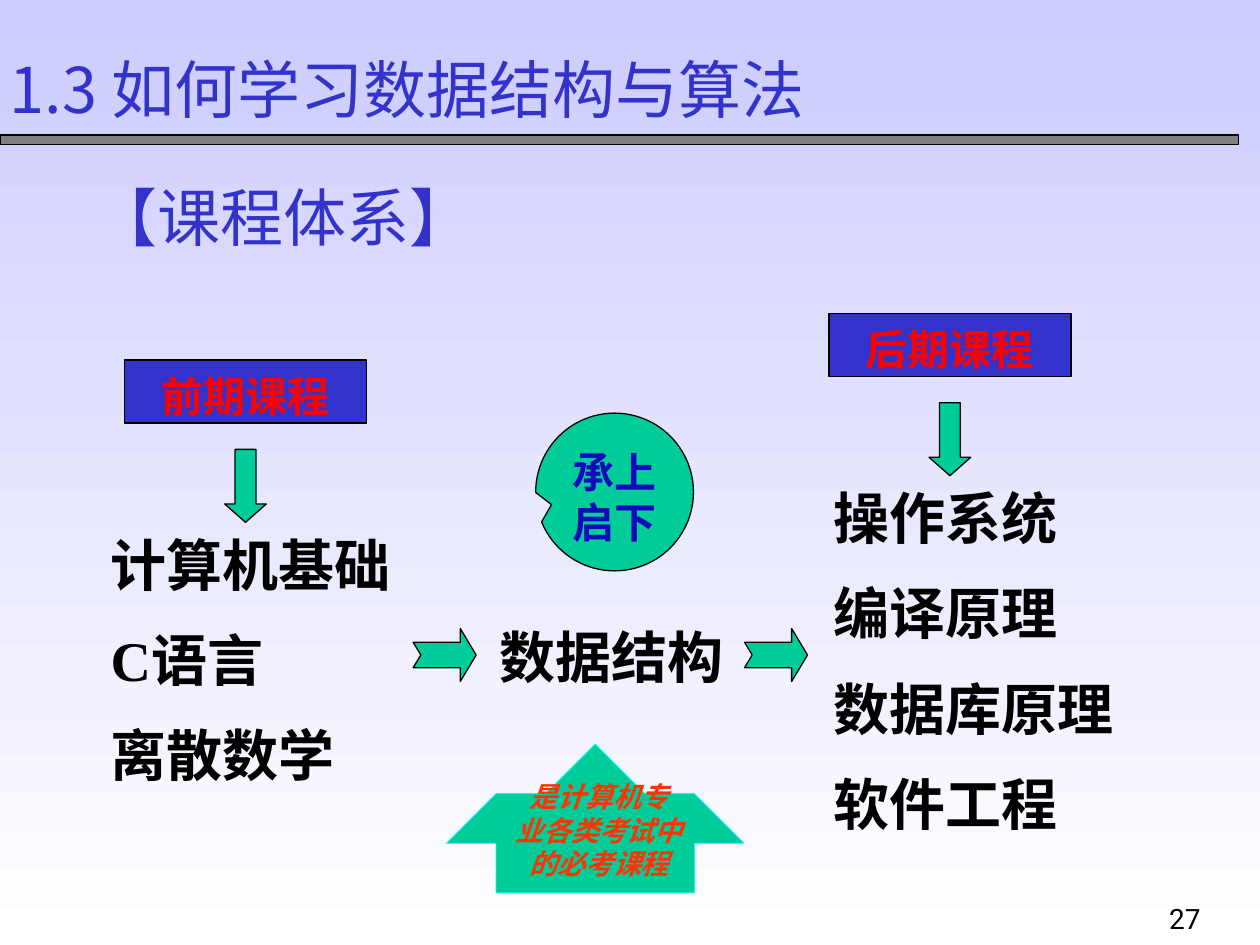
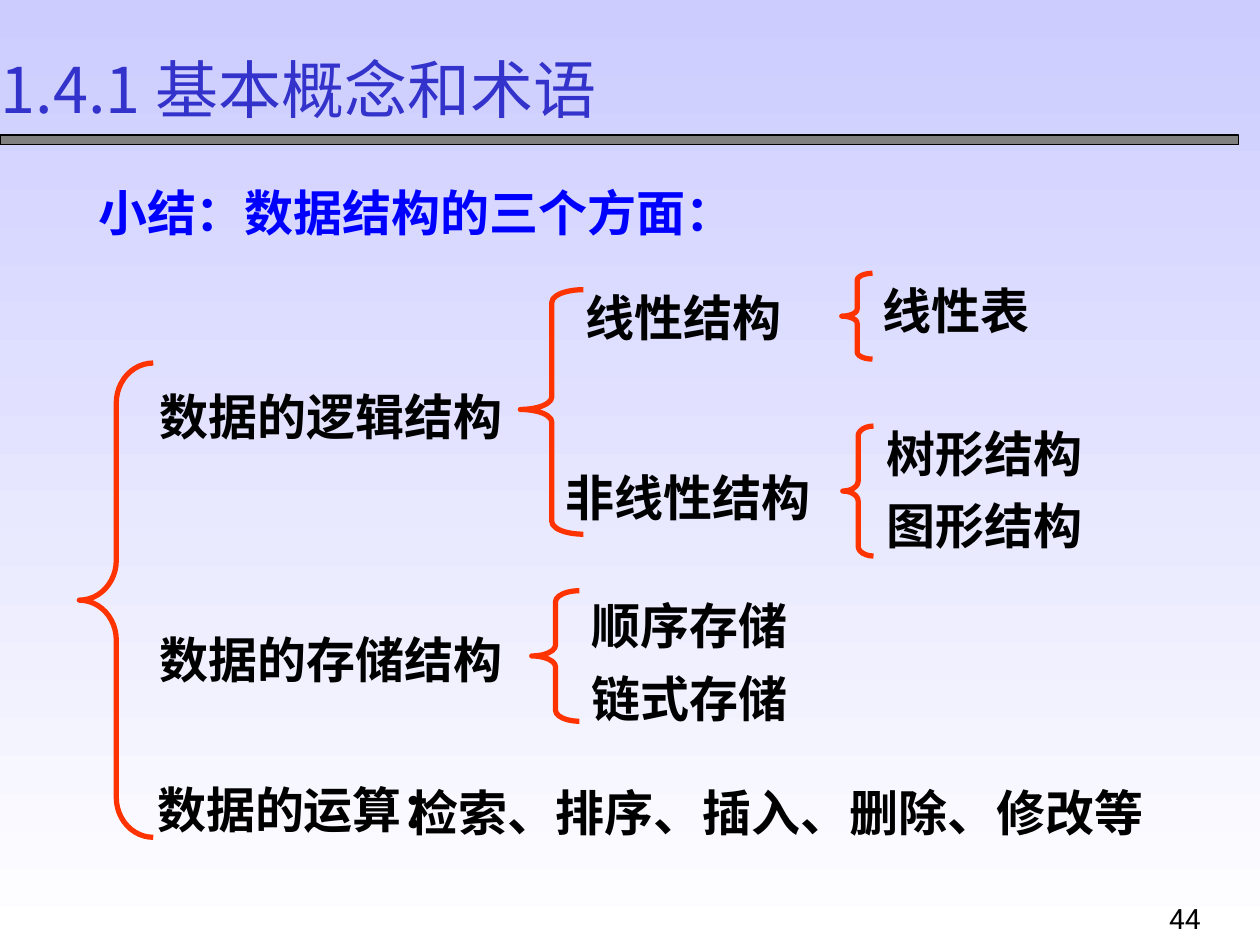
from lxml import etree
from pptx import Presentation
from pptx import util as u
from pptx.dml.color import RGBColor
from pptx.enum import shapes, text
from pptx.oxml.ns import qn

SERIF, SANS, CJK, ITALIC_FACE = "Times New Roman", "Roboto", "Noto Sans CJK SC", "Arial"
INDIGO, BLACK, RED, GREEN = "3333CC", "000000", "FF0000", "00CC99"
BRACE_RED, CYAN = "FF3300", "00FFFF"
LINE_HEIGHT = 1.2  # line pitch in units of the font size
SHAPE = shapes.MSO_SHAPE
CENTER = text.PP_ALIGN.CENTER

# All positions are left, top, width, height in centimetres.
BAND = (0, 2.72, 24.97, 0.2)
PAGE_NUMBER = (23.32, 17.98, 2, 1.07)

COURSES = {
    "title": "1.3 如何学习数据结构与算法",
    "title_box": (-0.05, 0.81, 20, 1.78),
    "page": "27",
    "heading": ("【课程体系】", (1.65, 3.4, 9.5, 1.8)),
    "groups": [  # heading, courses, left and top of the heading, left of the list
        ("前期课程", ["计算机基础", "C语言", "离散数学"], 2.51, 7.26, 1.98),
        ("后期课程", ["操作系统", "编译原理", "数据库原理", "软件工程"], 16.71, 6.32, 16.56),
    ],
    "subject": ("数据结构", (9.83, 12.34, 5.51, 1.63)),
    "arrow_lefts": [8.33, 15.01],
    "callout": ("承上启下", (10.8, 8.33, 3.18, 3.18)),
    "exam_note": (["是计算机专", "业各类考试中", "的必考课程"], (9.96, 15.52, 4.24, 2.29)),
    "star_center": (12.14, 16.72),
    "star_quarter": [(2.97, 0), (2.05, 0.44), (2.1, 1.08), (0.84, 1.07), (0, 1.53)],
}

SUMMARY = {
    "title": "1.4.1 基本概念和术语",
    "title_box": (-0.23, 0.81, 17, 1.78),
    "page": "44",
    "heading": ("小结：数据结构的三个方面：", 1.73, 3.48),
    "labels": [  # text, left, top
        ("数据的逻辑结构", 2.97, 7.59),
        ("数据的存储结构", 2.97, 12.5),
        ("数据的运算：", 2.92, 15.52),
        ("线性结构", 11.56, 5.59),
        ("非线性结构", 11.15, 9.22),
        ("顺序存储", 11.68, 11.81),
        ("链式存储", 11.68, 13.28),
        ("线性表", 17.55, 5.46),
        ("树形结构", 17.63, 8.33),
        ("图形结构", 17.63, 9.8),
        ("检索、排序、插入、删除、修改等", 8, 15.57),
    ],
    "braces": [  # box, curl, height of the point
        ((1.6, 7.32, 1.49, 9.56), 0.54, 0.5),
        ((10.72, 11.91, 0.96, 2.63), 0.23, 0.5),
        ((10.49, 5.84, 1.27, 4.93), 0.2, 0.49),
        ((16.97, 5.51, 0.62, 1.73), 0.23, 0.5),
        ((16.99, 8.59, 0.62, 2.62), 0.32, 0.5),
    ],
}


def color(value):
    return RGBColor.from_string(value)


def place(shape, box):
    shape.left, shape.top, shape.width, shape.height = (u.Cm(length) for length in box)


def write(shape, lines, size, font_name=SERIF, ink=BLACK, bold=False, italic=False,
          align=text.PP_ALIGN.LEFT, gap=0, side_inset=0.25, top_inset=0.2):
    """Fill a shape with one paragraph per line; gap is the space between them in points."""
    frame = shape.text_frame
    frame.word_wrap = True
    frame.auto_size = text.MSO_AUTO_SIZE.NONE
    frame.vertical_anchor = text.MSO_ANCHOR.TOP
    frame.margin_left = frame.margin_right = u.Cm(side_inset)
    frame.margin_top, frame.margin_bottom = u.Cm(top_inset), u.Cm(0)
    for index, line in enumerate(lines):
        paragraph = frame.add_paragraph() if index else frame.paragraphs[0]
        if shape.is_placeholder:
            properties = paragraph._p.get_or_add_pPr()
            properties.set("marL", "0")
            properties.set("indent", "0")
            etree.SubElement(properties, qn("a:buNone"))
        paragraph.alignment = align
        paragraph.line_spacing = u.Pt(size * LINE_HEIGHT)
        paragraph.space_before = u.Pt(gap if index else 0)
        run = paragraph.add_run()
        run.text = line
        font = run.font
        font.size, font.bold, font.italic = u.Pt(size), bold, italic
        font.color.rgb = color(ink)
        font.name = font_name
        etree.SubElement(run._r.get_or_add_rPr(), qn("a:ea"), typeface=CJK)


def add_text(slide, lines, box, size, **style):
    shape = slide.shapes.add_textbox(*(u.Cm(length) for length in box))
    write(shape, lines, size, **style)


def paint(shape, fill, line=BLACK, width=0.75):
    shape.shadow.inherit = False
    if fill:
        shape.fill.solid()
        shape.fill.fore_color.rgb = color(fill)
    else:
        shape.fill.background()
    shape.line.color.rgb = color(line)
    shape.line.width = u.Pt(width)


def add_preset(slide, kind, box, fill, adjustments=(), **outline):
    shape = slide.shapes.add_shape(kind, *(u.Cm(length) for length in box))
    for index, value in enumerate(adjustments):
        shape.adjustments[index] = value
    paint(shape, fill, **outline)
    return shape


def style_master(presentation, slide):
    """Give the master its gradient and the band under the titles."""
    master = presentation.slide_master
    fill = master.background.fill
    fill.gradient()
    fill.gradient_angle = 270
    for stop, position, shade in zip(fill.gradient_stops, (0, 1), ("CCCCFF", "FFFFFF")):
        stop.position = position
        stop.color.rgb = color(shade)
    band = add_preset(slide, SHAPE.RECTANGLE, BAND, "808080")
    master.shapes.element.insert(2, band.element)


def add_slide(presentation, layout_index, content):
    slide = presentation.slides.add_slide(presentation.slide_layouts[layout_index])
    place(slide.shapes.title, content["title_box"])
    write(slide.shapes.title, [content["title"]], 36, font_name=CJK, ink=INDIGO)
    add_text(slide, [content["page"]], PAGE_NUMBER, 16, font_name=SANS)
    return slide


def add_star(slide, center, quarter):
    """Mirror a quarter outline around the center to make the eight-pointed star."""
    half = quarter + [(-x, y) for x, y in quarter[-2::-1]]
    outline = half + [(x, -y) for x, y in half[-2:0:-1]]
    points = [(center[0] + x, center[1] + y) for x, y in outline]
    builder = slide.shapes.build_freeform(*points[0], scale=u.Cm(1))
    builder.add_line_segments(points[1:], close=True)
    paint(builder.convert_to_shape(), GREEN, CYAN, 0.5)


def build_courses(slide):
    heading, box = COURSES["heading"]
    add_text(slide, [heading], box, 36, font_name=SANS, ink=INDIGO)
    for index, (name, courses, left, top, list_left) in enumerate(COURSES["groups"], start=1):
        label = add_preset(slide, SHAPE.RECTANGLE, (left, top, 4.88, 1.27), INDIGO)
        write(label, [name], 24, ink=RED, bold=True, align=CENTER)
        arrow_left = left + (4.88 - 0.84) / 2
        add_preset(slide, SHAPE.DOWN_ARROW, (arrow_left, top + 1.8, 0.84, 1.47), GREEN, (0.5, 0.44))
        course_list = slide.placeholders[index]
        place(course_list, (list_left, top + 3.3, 7.42, 1.92 * len(courses)))
        write(course_list, courses, 32, bold=True, gap=16, top_inset=0.13)

    name, box = COURSES["subject"]
    add_text(slide, [name], box, 32, bold=True)
    for left in COURSES["arrow_lefts"]:
        add_preset(slide, SHAPE.NOTCHED_RIGHT_ARROW, (left, 12.67, 1.27, 1.07), GREEN, (0.48, 0.3))

    name, box = COURSES["callout"]
    callout = add_preset(slide, SHAPE.OVAL_CALLOUT, box, GREEN, (-0.4, 0.08))
    write(callout, [name], 24, ink="1209BD", bold=True, align=CENTER, side_inset=0.1)

    add_star(slide, COURSES["star_center"], COURSES["star_quarter"])
    lines, box = COURSES["exam_note"]
    add_text(slide, lines, box, 16, font_name=ITALIC_FACE, ink=BRACE_RED,
             bold=True, italic=True, align=CENTER, side_inset=0)


def build_summary(slide):
    for box, curl, point in SUMMARY["braces"]:
        add_preset(slide, SHAPE.LEFT_BRACE, box, None, (curl, point), line=BRACE_RED, width=3)
    labels = [(*label, BLACK) for label in SUMMARY["labels"]]
    for label, left, top, ink in [(*SUMMARY["heading"], "0000FF")] + labels:
        width = len(label) + 0.8  # a 28 pt character is just under 1 cm wide
        add_text(slide, [label], (left, top, width, 1.45), 28, ink=ink, bold=True)


def main():
    presentation = Presentation()
    presentation.slide_width, presentation.slide_height = u.Cm(25.4), u.Cm(19.05)
    courses = add_slide(presentation, 3, COURSES)
    style_master(presentation, courses)
    build_courses(courses)
    build_summary(add_slide(presentation, 5, SUMMARY))
    presentation.save("out.pptx")


if __name__ == "__main__":
    main()
